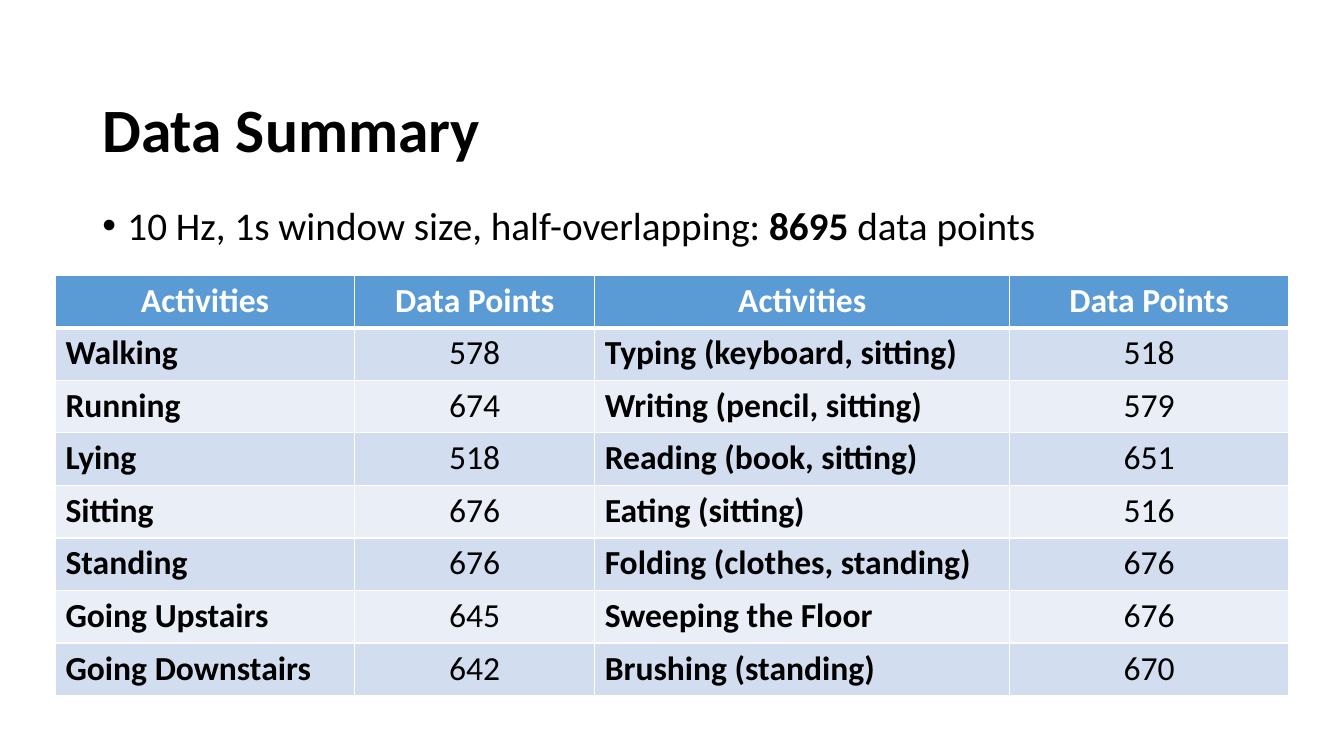
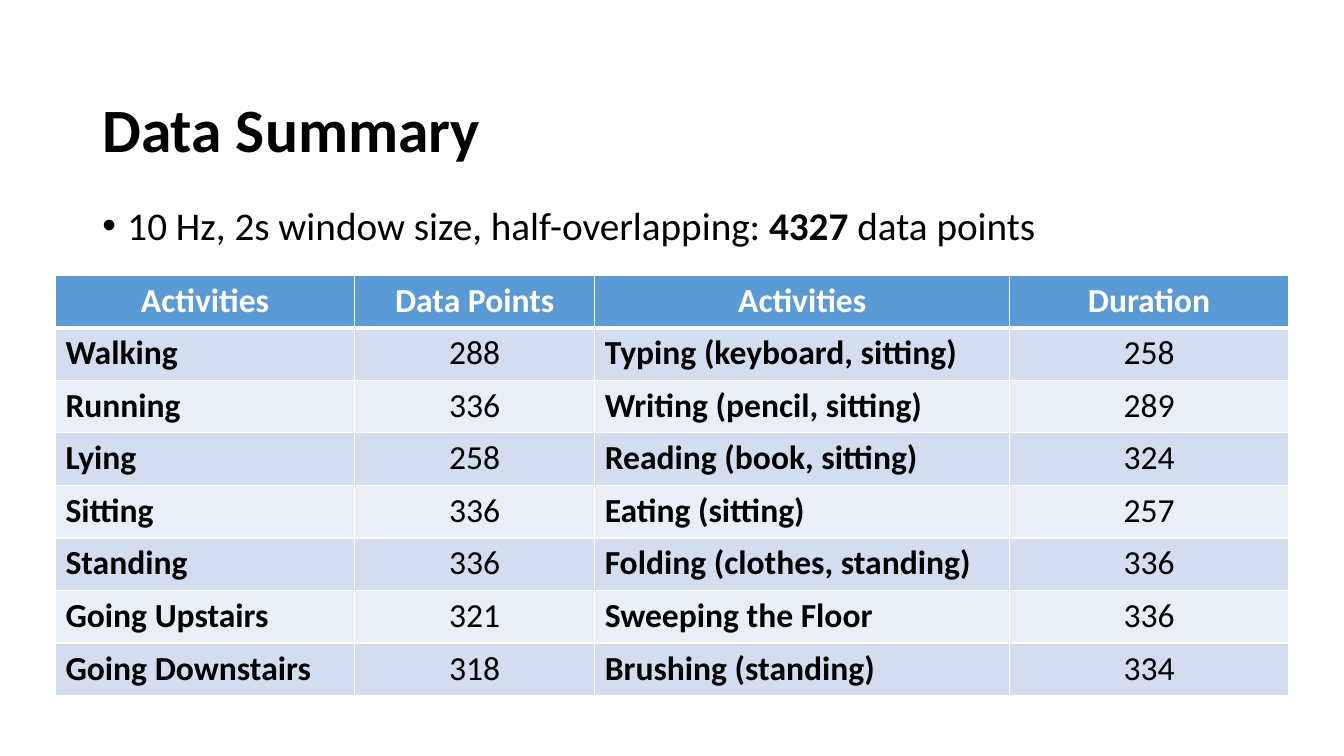
from pptx import Presentation
from pptx.dml.color import RGBColor
from pptx.enum.text import MSO_ANCHOR, PP_ALIGN
from pptx.oxml.ns import qn
from pptx.util import Pt
from lxml.etree import SubElement

FONT = "Calibri"
BLACK, WHITE = "000000", "FFFFFF"
HEAD, BANDS = "5B9BD5", ("D2DEEF", "EAEFF7")

LEFT = ["Walking", "Running", "Lying", "Sitting", "Standing",
        "Going Upstairs", "Going Downstairs"]
RIGHT = ["Typing (keyboard, sitting)", "Writing (pencil, sitting)",
         "Reading (book, sitting)", "Eating (sitting)",
         "Folding (clothes, standing)", "Sweeping the Floor",
         "Brushing (standing)"]

SLIDES = [
    {"window": "1s", "total": "8695", "last": "Data Points",
     "left": [578, 674, 518, 676, 676, 645, 642],
     "right": [518, 579, 651, 516, 676, 676, 670]},
    {"window": "2s", "total": "4327", "last": "Duration",
     "left": [288, 336, 258, 336, 336, 321, 318],
     "right": [258, 289, 324, 257, 336, 336, 334]},
]

TITLE = (66, 42.5, 828, 104.4)
BODY = (66, 143.75, 828, 342.72)
TABLE = (39.6, 196.6)
COLS = (213.8, 171.4, 296.6, 198.8)
ROW = 37.54


def color(text):
    return RGBColor.from_string(text)


def write(frame, runs, size=24, ink=BLACK, align=PP_ALIGN.LEFT):
    """Fill the first paragraph with (text, bold) runs."""
    para = frame.paragraphs[0]
    para.alignment = align
    for text, bold in runs:
        run = para.add_run()
        run.text = text
        font = run.font
        font.name, font.size, font.bold = FONT, Pt(size), bold
        font.color.rgb = color(ink)
    return para


def add_text(slide, box, runs, anchor=MSO_ANCHOR.TOP, **style):
    frame = slide.shapes.add_textbox(*map(Pt, box)).text_frame
    frame.word_wrap = True
    frame.vertical_anchor = anchor
    para = write(frame, runs, **style)
    para.line_spacing = 0.9
    return para


def add_bullet(para):
    props = para._p.get_or_add_pPr()
    props.set("marL", str(Pt(18)))
    props.set("indent", str(Pt(-18)))
    SubElement(props, qn("a:buFont"), typeface="Arial")
    SubElement(props, qn("a:buChar"), char="•")


def add_edges(cell, **widths):
    """Draw white cell borders; widths are keyed L, R, T and B."""
    props = cell._tc.get_or_add_tcPr()
    for side, width in widths.items():
        line = SubElement(props, qn(f"a:ln{side}"), w=str(Pt(width)))
        fill = SubElement(line, qn("a:solidFill"))
        SubElement(fill, qn("a:srgbClr"), val=WHITE)


def add_grid(slide, rows):
    table = slide.shapes.add_table(
        len(rows), len(COLS), *map(Pt, TABLE),
        Pt(sum(COLS)), Pt(ROW * len(rows))).table
    table.first_row = table.horz_banding = False
    for col, width in zip(table.columns, COLS):
        col.width = Pt(width)
    for r, row in enumerate(rows):
        table.rows[r].height = Pt(ROW)
        head = r == 0
        for c, value in enumerate(row):
            cell = table.cell(r, c)
            name = c % 2 == 0
            add_edges(cell, L=1, R=1, T=3 if r == 1 else 1, B=3 if head else 1)
            cell.fill.solid()
            cell.fill.fore_color.rgb = color(HEAD if head else BANDS[(r - 1) % 2])
            write(cell.text_frame, [(str(value), head or name)],
                  ink=WHITE if head else BLACK,
                  align=PP_ALIGN.LEFT if name and not head else PP_ALIGN.CENTER)


def add_summary(deck, data):
    slide = deck.slides.add_slide(deck.slide_layouts[6])
    add_text(slide, TITLE, [("Data Summary", True)],
             anchor=MSO_ANCHOR.MIDDLE, size=44)
    lead = f"10 Hz, {data['window']} window size, half-overlapping: "
    para = add_text(slide, BODY, [(lead, False), (data["total"], True),
                                  (" data points", False)], size=28)
    para.space_before = Pt(10)
    add_bullet(para)
    head = ("Activities", "Data Points", "Activities", data["last"])
    add_grid(slide, [head, *zip(LEFT, data["left"], RIGHT, data["right"])])


def main():
    deck = Presentation()
    deck.slide_width, deck.slide_height = Pt(960), Pt(540)
    for data in SLIDES:
        add_summary(deck, data)
    deck.save("out.pptx")


if __name__ == "__main__":
    main()
